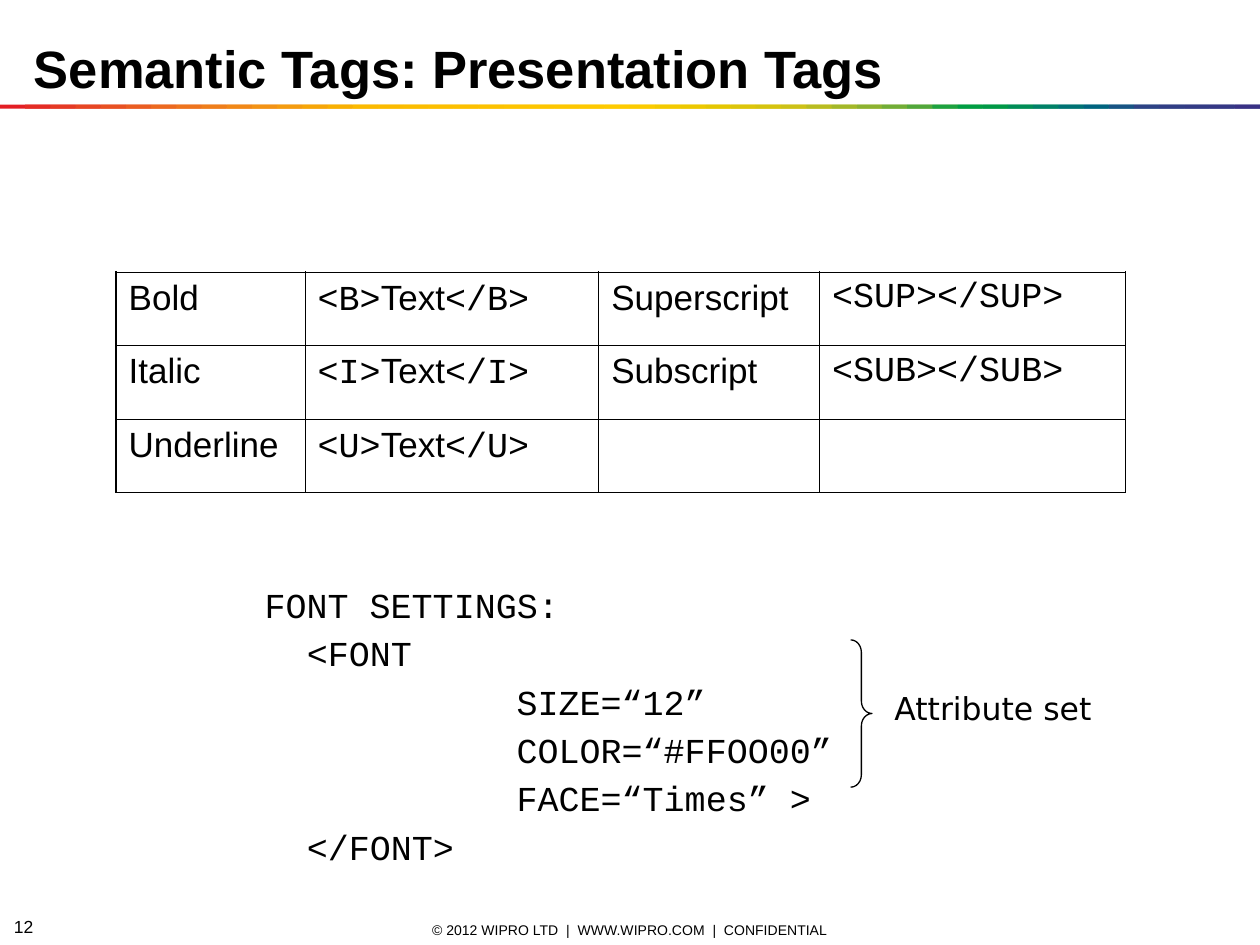
from lxml import etree
from pptx import Presentation
from pptx import util as u
from pptx.dml import color
from pptx.enum import shapes, text
from pptx.oxml import ns

BLACK = "000000"
SANS, MONO = "Arial", "Courier New"
RAINBOW = """
E31E24 E42C24 E53A24 E74623 E85122 EA5D21 EC691F EE741D EF7E1A F18817
F39314 F49C0F F6A607 F8B002 FBBA00 FBBB00 FBBD00 FCBF00 FCC000 FCC200
FDC400 FDC600 FDC700 FEC900 FECB00 FBCB00 F3CA00 ECC800 E4C602 DCC50A
D5C30E CCC117 B8BC21 A3B829 8CB230 71AD36 51A73B 1DA240 009D43 009846
008C57 008068 007275 00637F 185384 2E4285 313E85 333B85 353885 393185
""".split()


def paint(value):
    return color.RGBColor.from_string(value)


def set_all(target, values):
    for name, value in values.items():
        setattr(target, name, value)


class SlideBuilder:
    """Holds the shared text style and the slide being filled."""

    def __init__(self, slide):
        self.slide = slide
        self.font = {"name": SANS, "size": u.Pt(20), "bold": False}

    def place(self, item, left, top, width, height):
        set_all(item, {"left": u.Cm(left), "top": u.Cm(top),
                       "width": u.Cm(width), "height": u.Cm(height)})

    def add_span(self, para, content, **font):
        span = para.add_run()
        span.text = content
        set_all(span.font, {**self.font, **font})
        span.font.color.rgb = paint(BLACK)

    def title(self, content, *area):
        box = self.slide.shapes.title
        self.place(box, *area)
        set_all(box.text_frame, {"vertical_anchor": text.MSO_ANCHOR.BOTTOM,
                                 "word_wrap": True,
                                 "auto_size": text.MSO_AUTO_SIZE.NONE})
        para = box.text_frame.paragraphs[0]
        para.alignment = text.PP_ALIGN.LEFT
        self.add_span(para, content, size=u.Pt(30), bold=True)

    def code(self, lines, *area):
        box = self.slide.placeholders[1]
        self.place(box, *area)
        frame = box.text_frame
        set_all(frame, {"margin_top": u.Cm(0.23),
                        "vertical_anchor": text.MSO_ANCHOR.TOP,
                        "auto_size": text.MSO_AUTO_SIZE.NONE})
        for number, (indent, content) in enumerate(lines):
            para = frame.add_paragraph() if number else frame.paragraphs[0]
            props = para._p.get_or_add_pPr()
            props.set("marL", str(u.Cm(indent)))
            props.set("indent", "0")
            etree.SubElement(props, ns.qn("a:buNone"))
            set_all(para, {"line_spacing": 0.9,
                           "space_before": u.Pt(6 if number else 0)})
            self.add_span(para, content, name=MONO)

    def label(self, content, area, align=text.PP_ALIGN.LEFT,
              anchor=text.MSO_ANCHOR.MIDDLE, wrap=True, **font):
        box = self.slide.shapes.add_textbox(0, 0, 0, 0)
        self.place(box, *area)
        set_all(box.text_frame, {"word_wrap": wrap, "vertical_anchor": anchor})
        para = box.text_frame.paragraphs[0]
        para.alignment = align
        self.add_span(para, content, **font)

    def shape(self, kind, *area, fill=None, line=None):
        item = self.slide.shapes.add_shape(kind, 0, 0, 0, 0)
        self.place(item, *area)
        item.shadow.inherit = False
        if fill:
            item.fill.solid()
            item.fill.fore_color.rgb = paint(fill)
        else:
            item.fill.background()
        if line:
            item.line.color.rgb = paint(line)
            item.line.width = u.Pt(0.75)
        else:
            item.line.fill.background()
        return item

    def border(self, cell, side, points):
        line = etree.SubElement(cell._tc.get_or_add_tcPr(), ns.qn("a:ln" + side),
                                w=str(u.Pt(points)))
        fill = etree.SubElement(line, ns.qn("a:solidFill"))
        etree.SubElement(fill, ns.qn("a:srgbClr"), val=BLACK)

    def table(self, rows, widths, row_height, left, top):
        count, last = len(rows), len(widths) - 1
        frame = self.slide.shapes.add_table(
            count, len(widths), u.Cm(left), u.Cm(top),
            u.Cm(sum(widths)), u.Cm(row_height * count))
        grid = frame.table
        set_all(grid, {"first_row": False, "horz_banding": False})
        for column, width in zip(grid.columns, widths):
            column.width = u.Cm(width)
        for r, row in enumerate(rows):
            for c, spans in enumerate(row):
                cell = grid.cell(r, c)
                outer = {"L": c == 0, "R": c == last,
                         "T": r == 0, "B": r == count - 1}
                for side, is_outer in outer.items():
                    self.border(cell, side, 1.08 if is_outer else 0.45)
                cell.fill.background()
                for content, face in spans:
                    self.add_span(cell.text_frame.paragraphs[0], content, name=face)


def tagged(tag):
    return [(f"<{tag}>", MONO), ("Text", SANS), (f"</{tag}>", MONO)]


def main():
    deck = Presentation()
    set_all(deck, {"slide_width": u.Cm(25.4), "slide_height": u.Cm(19.05)})
    page = SlideBuilder(deck.slides.add_slide(deck.slide_layouts[1]))

    # Footer and page number
    page.label("© 2012 WIPRO LTD  |  WWW.WIPRO.COM  |  CONFIDENTIAL",
               (8.38, 18.49, 8.64, 0.51), align=text.PP_ALIGN.CENTER, size=u.Pt(8))
    page.label("12", (0.03, 18.47, 0.99, 0.41), wrap=False, size=u.Pt(10))

    # Rainbow rule: overlapping strips, each twice as wide as its step
    step = 25.4 / len(RAINBOW)
    for number, shade in enumerate(RAINBOW):
        left = number * step
        page.shape(shapes.MSO_SHAPE.RECTANGLE, left, 2.11,
                   min(2 * step, 25.4 - left), 0.08, fill=shade)

    # Title and code sample
    page.title("Semantic Tags: Presentation Tags", 0.43, 0.61, 20.96, 1.52)
    page.code([(2.54, "FONT SETTINGS:"),
               (3.39, "<FONT"),
               (7.62, "SIZE=“12”"),
               (7.62, "COLOR=“#FFOO00”"),
               (7.62, "FACE=“Times” >"),
               (3.39, "</FONT>")], 2.54, 11.63, 20.32, 5.94)

    # Tag table
    page.table([
        [[("Bold", SANS)], tagged("B"),
         [("Superscript", SANS)], [("<SUP></SUP>", MONO)]],
        [[("Italic", SANS)], tagged("I"),
         [("Subscript", SANS)], [("<SUB></SUB>", MONO)]],
        [[("Underline", SANS)], tagged("U"), [], []],
    ], [3.81, 5.92, 4.45, 6.17], 1.48, 2.34, 5.49)

    # Brace around the attributes
    page.label("Attribute set", (17.78, 13.77, 6.15, 1.02),
               anchor=text.MSO_ANCHOR.TOP, name="DejaVu Sans", size=u.Pt(18))
    brace = page.shape(shapes.MSO_SHAPE.RIGHT_BRACE, 17.15, 12.9, 0.43, 2.97,
                       line=BLACK)
    brace.adjustments[0] = 0.58

    deck.save("out.pptx")


if __name__ == "__main__":
    main()
